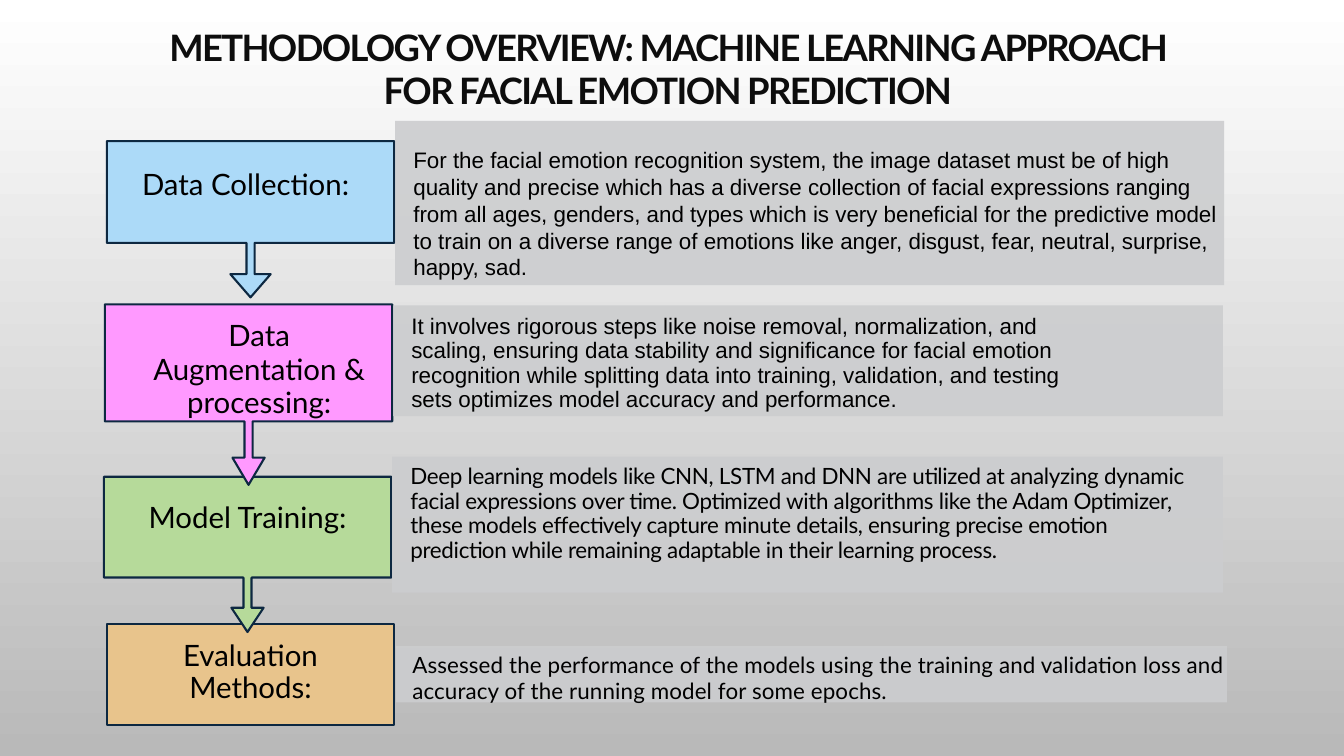
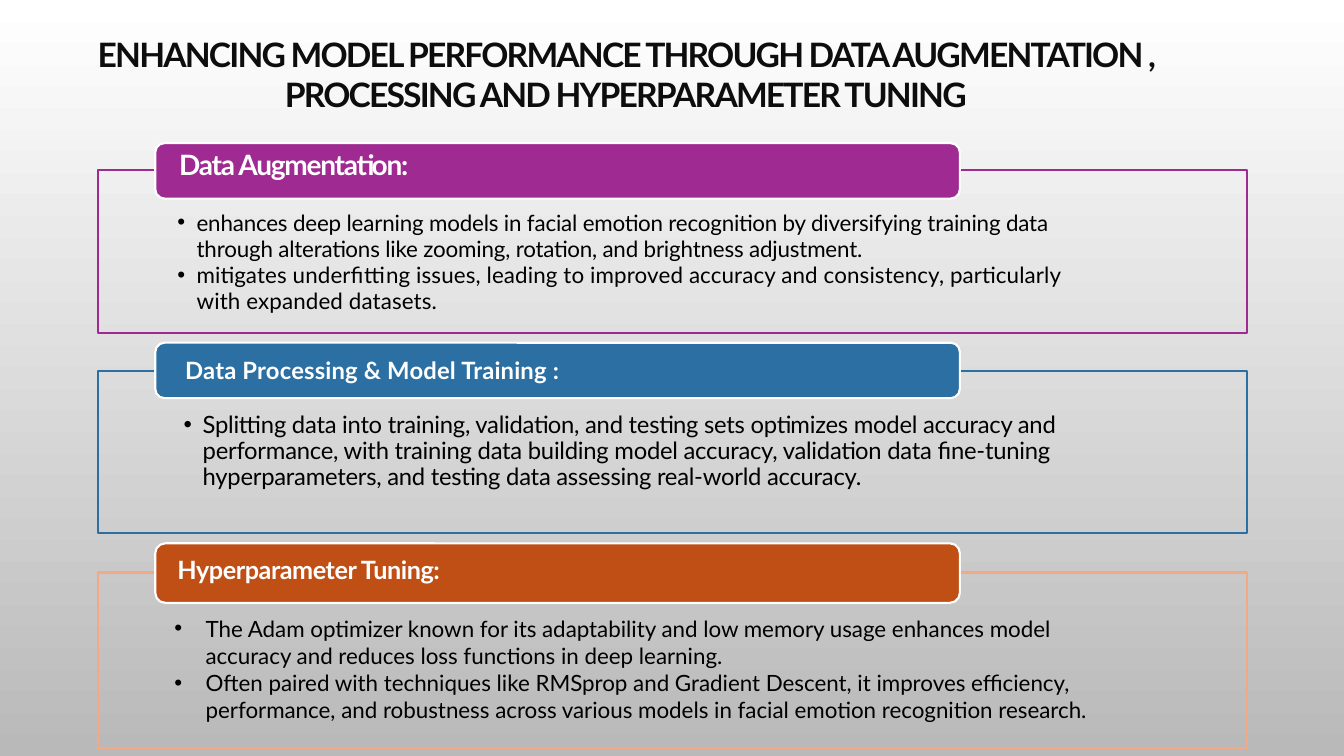
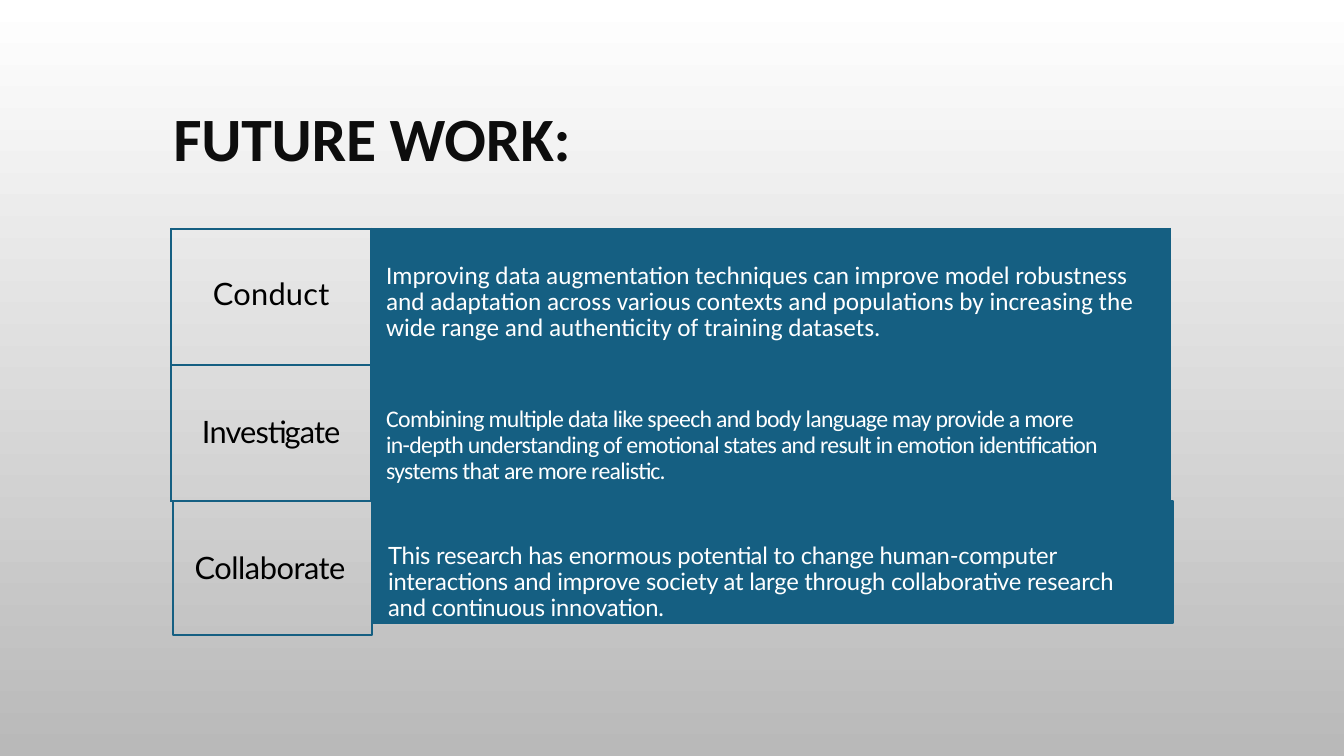
from dataclasses import dataclass
from lxml.etree import SubElement
from pptx import Presentation
from pptx.dml.color import RGBColor
from pptx.enum.shapes import MSO_SHAPE
from pptx.enum.text import MSO_ANCHOR, MSO_AUTO_SIZE, PP_ALIGN
from pptx.oxml import parse_xml
from pptx.oxml.ns import nsdecls, qn
from pptx.util import Inches, Pt


@dataclass(frozen=True)
class Theme:
    top: str = "FFFFFF"
    base: str = "B9B9B9"
    head: str = "0D0D0D"
    ink: str = "000000"
    white: str = "FFFFFF"
    edge: str = "0D2841"
    panel: str = "CCCDCF"
    teal: str = "155F82"
    main: str = "Lato"
    plain: str = "Arial"
    alt: str = "Calibri"
    step: float = 21
    term: float = 22
    text: float = 16
    large: float = 17
    line: float = 1.5


T = Theme()
LEFT, CENTER = PP_ALIGN.LEFT, PP_ALIGN.CENTER

FLOW_TITLE = dict(
    text="METHODOLOGY OVERVIEW: MACHINE LEARNING APPROACH FOR FACIAL EMOTION PREDICTION",
    at=(1.5, 0.23, 10.25, 0.89), size=26, track=-1.2)
TUNE_TITLE = dict(
    text="ENHANCING MODEL PERFORMANCE THROUGH DATA AUGMENTATION , PROCESSING AND HYPERPARAMETER TUNING",
    at=(0.51, 0.32, 11.39, 0.82), size=24, track=-1.3)
WORK_TITLE = dict(
    text="FUTURE WORK:", at=(1.48, 0.97, 4.42, 0.76),
    size=44, track=-0.2, font=T.alt)

STEPS = [
    dict(name=["Data Collection:"], color="ACDAF8", at=(1.06, 1.4, 2.85, 1.55),
         body=1.01, tip=0.23, half=0.2, inset=(0, 0.25, 0.1), lead=None,
         panel=(3.92, 1.2, 8.22, 1.63), pad=(0.18, 0.25, 0),
         look=dict(font=T.plain),
         text="For the facial emotion recognition system, the image dataset must be of high quality and precise which has a diverse collection of facial expressions ranging from all ages, genders, and types which is very beneficial for the predictive model to train on a diverse range of emotions like anger, disgust, fear, neutral, surprise, happy, sad."),
    dict(name=["Data", "Augmentation & processing:"], color="FF99FF",
         at=(1.04, 3.02, 2.85, 1.79),
         body=1.16, tip=0.27, half=0.16, inset=(0.35, 0.14, 0.14), lead=24.1,
         panel=(3.9, 3.03, 8.23, 1.1), pad=(0.18, 0.09, 1.4),
         look=dict(font=T.plain, lead=17.5),
         text="It involves rigorous steps like noise removal, normalization, and scaling, ensuring data stability and significance for facial emotion recognition while splitting data into training, validation, and testing sets optimizes model accuracy and performance."),
    dict(name=["Model Training:"], color="B6DA9A", at=(1.03, 4.73, 2.85, 1.54),
         body=1, tip=0.24, half=0.16, inset=(0, 0.22, 0), lead=None,
         panel=(3.89, 4.53, 8.24, 1.35), pad=(0.18, 0.08, 0.33),
         look=dict(lead=17.5, track=-0.2),
         text="Deep learning models like CNN, LSTM and DNN are utilized at analyzing dynamic facial expressions over time. Optimized with algorithms like the Adam Optimizer, these models effectively capture minute details, ensuring precise emotion prediction while remaining adaptable in their learning process."),
    dict(name=["Evaluation Methods:"], color="E8C48C", at=(1.06, 6.19, 2.85, 1),
         body=None, inset=(0.4, 0.16, 0.4), lead=23,
         panel=(3.93, 6.41, 8.24, 0.56), pad=(0.16, 0.06, 0),
         look=dict(lead=18.4, track=0.1),
         text="Assessed the performance of the models using the training and validation loss and accuracy of the running model for some epochs."),
]

TOPICS = [
    dict(name="Data Augmentation:", fill="9F2B92", line="9F2B92",
         top=1.42, tall=0.55, frame=(1.69, 1.61), label=(0.21, 0.02, 0),
         size=20, track=-0.9, inset=(0.78, 0.39, 1.7), hang=(0.2, 0.19),
         look=dict(lead=18.6),
         items=["enhances deep learning models in facial emotion recognition by diversifying training data through alterations like zooming, rotation, and brightness adjustment.",
                "mitigates underfitting issues, leading to improved accuracy and consistency, particularly with expanded datasets."],
         tracks=[-0.1, 0.1]),
    dict(name="Data Processing & Model Training :", fill="2C70A3", line="2C70A3",
         top=3.4, tall=0.55, frame=(3.68, 1.61), label=(0.27, 0.1, 0),
         size=17, track=0.1, inset=(0.84, 0.41, 0.97), hang=(0.2, 0.19),
         look=dict(lead=18.6, size=T.large),
         items=["Splitting data into training, validation, and testing sets optimizes model accuracy and performance, with training data building model accuracy, validation data fine-tuning hyperparameters, and testing data assessing real-world accuracy."],
         tracks=[-0.2]),
    dict(name="Hyperparameter Tuning:", fill="C04F15", line="F1AA84",
         top=5.39, tall=0.59, frame=(5.68, 1.74), label=(0.19, 0.08, 0),
         size=18, track=-0.3, inset=(0.76, 0.42, 1.34), hang=(0.31, 0.31),
         look=dict(gap=0.5),
         items=["The Adam optimizer known for its adaptability and low memory usage enhances model accuracy and reduces loss functions in deep learning.",
                "Often paired with techniques like RMSprop and Gradient Descent, it improves efficiency, performance, and robustness across various models in facial emotion recognition research."],
         tracks=[0, 0]),
]

PLANS = [
    dict(name="Conduct", track=0.2, pad=(0, 0.46, 0),
         text="Improving data augmentation techniques can improve model robustness and adaptation across various contexts and populations by increasing the wide range and authenticity of training datasets.",
         look=dict(size=18, font=T.alt), inset=(0.15, 0.36, 0.2)),
    dict(name="Investigate", track=-0.6, pad=(0, 0.48, 0),
         text="Combining multiple data like speech and body language may provide a more in-depth understanding of emotional states and result in emotion identification systems that are more realistic.",
         look=dict(size=T.large, font=T.alt, track=-0.5), inset=(0.15, 0.43, 0.7)),
]
LAST = dict(name="Collaborate", track=-0.3, pad=(0.21, 0.47, 0),
            text="This research has enormous potential to change human-computer interactions and improve society at large through collaborative research and continuous innovation.",
            look=dict(size=T.large, track=-0.2), inset=(0.16, 0.42, 0.4))


def rgb(code):
    return RGBColor.from_string(code)


def place(shape, at):
    shape.left, shape.top, shape.width, shape.height = map(Inches, at)


def pad(box, inset, anchor=MSO_ANCHOR.TOP):
    left, top, right = map(Inches, inset)
    box.margin_left, box.margin_top = left, top
    box.margin_right, box.margin_bottom = right, 0
    box.vertical_anchor = anchor


def style(para, text, size=T.text, font=T.main, color=T.ink, bold=False,
          track=0, lead=None, gap=0, align=LEFT, hang=None):
    para.text = text
    para.alignment = align
    para.space_before = Pt(gap)
    if lead:
        para.line_spacing = Pt(lead)
    if hang:
        left, back = hang
        props = para._p.get_or_add_pPr()
        props.set("marL", str(Inches(left)))
        props.set("indent", str(-Inches(back)))
        SubElement(props, qn("a:buFont"), typeface=T.plain)
        SubElement(props, qn("a:buChar"), char="•")
    face = para.font
    face.name, face.size, face.bold = font, Pt(size), bold
    face.color.rgb = rgb(color)
    face._element.set("spc", str(round(track * 100)))


def write(frame, texts, tracks=None, **look):
    for i, text in enumerate(texts):
        para = frame.add_paragraph() if i else frame.paragraphs[0]
        if tracks:
            look["track"] = tracks[i]
        style(para, text, **look)


def fit(shape, inset, anchor=MSO_ANCHOR.TOP):
    frame = shape.text_frame
    frame.word_wrap = True
    frame.auto_size = MSO_AUTO_SIZE.NONE
    pad(frame, inset, anchor)
    return frame


def block(slide, kind, at, fill=None, line=None):
    shape = slide.shapes.add_shape(kind, *map(Inches, at))
    shape.shadow.inherit = False
    if fill:
        shape.fill.solid()
        shape.fill.fore_color.rgb = rgb(fill)
    else:
        shape.fill.background()
    if line:
        shape.line.color.rgb = rgb(line)
        shape.line.width = Pt(T.line)
    else:
        shape.line.fill.background()
    return shape


def start(deck, layout, text, at, **look):
    slide = deck.slides.add_slide(deck.slide_layouts[layout])
    title = slide.shapes.title
    place(title, at)
    frame = fit(title, (0, 0.01, 0), MSO_ANCHOR.MIDDLE)
    write(frame, [text], color=T.head, bold=True, align=CENTER, **look)
    return slide


def flow(deck):
    slide = start(deck, 5, **FLOW_TITLE)
    for step in reversed(STEPS):
        kind = MSO_SHAPE.DOWN_ARROW_CALLOUT if step["body"] else MSO_SHAPE.RECTANGLE
        box = block(slide, kind, step["at"], step["color"], T.edge)
        if step["body"]:
            tall = step["at"][3]
            sizes = 0.08, step["half"], step["tip"], step["body"]
            for i, size in enumerate(sizes):
                box.adjustments[i] = size / tall
        write(fit(box, step["inset"]), step["name"], size=T.step,
              lead=step["lead"], align=CENTER)
        panel = block(slide, MSO_SHAPE.RECTANGLE, step["panel"], T.panel)
        tint = panel.element.spPr.find(qn("a:solidFill"))[0]
        SubElement(tint, qn("a:alpha"), val="90000")
        write(fit(panel, step["pad"]), [step["text"]], **step["look"])


def tune(deck):
    slide = start(deck, 4, **TUNE_TITLE)
    *bodies, spare = [p for p in slide.placeholders if p.placeholder_format.idx]
    spare.element.getparent().remove(spare.element)
    for topic, body in zip(TOPICS, bodies):
        top, tall = topic["frame"]
        place(body, (0.97, top, 11.4, tall))
        body.line.color.rgb = rgb(topic["line"])
        body.line.width = Pt(T.line)
        write(fit(body, topic["inset"]), topic["items"], topic["tracks"],
              hang=topic["hang"], **topic["look"])
        label = block(slide, MSO_SHAPE.ROUNDED_RECTANGLE,
                      (1.54, topic["top"], 7.98, topic["tall"]),
                      topic["fill"], T.white)
        write(fit(label, topic["label"]), [topic["name"]], size=topic["size"],
              color=T.white, bold=True, track=topic["track"])


def border(cell):
    props = cell._tc.get_or_add_tcPr()
    for i, side in enumerate("LRTB"):
        props.insert(i, parse_xml(
            f'<a:ln{side} {nsdecls("a")} w="{Pt(T.line)}"><a:solidFill>'
            f'<a:srgbClr val="{T.teal}"/></a:solidFill></a:ln{side}>'))


def work(deck):
    slide = start(deck, 5, **WORK_TITLE)
    left, top, wide, tall = 1.7, 2.27, (1.98, 7.93), 1.35
    grid = slide.shapes.add_table(
        len(PLANS), 2, Inches(left), Inches(top),
        Inches(sum(wide)), Inches(tall * len(PLANS))).table
    grid.first_row = grid.horz_banding = False
    for col, size in zip(grid.columns, wide):
        col.width = Inches(size)
    for row, plan in zip(grid.rows, PLANS):
        row.height = Inches(tall)
        term, note = row.cells
        term.fill.background()
        note.fill.solid()
        note.fill.fore_color.rgb = rgb(T.teal)
        for cell, inset in (term, plan["pad"]), (note, plan["inset"]):
            border(cell)
            pad(cell, inset)
        write(term.text_frame, [plan["name"]], size=T.term,
              track=plan["track"], align=CENTER)
        write(note.text_frame, [plan["text"]], color=T.white, lead=18.6,
              **plan["look"])
    end = top + tall * len(PLANS)
    note = block(slide, MSO_SHAPE.RECTANGLE, (3.69, end, 7.94, 1.21), T.teal, T.teal)
    write(fit(note, LAST["inset"]), [LAST["text"]], color=T.white, lead=18.6,
          **LAST["look"])
    term = block(slide, MSO_SHAPE.RECTANGLE, (1.72, end, 1.97, 1.33), line=T.teal)
    write(fit(term, LAST["pad"]), [LAST["name"]], size=T.term, track=LAST["track"])


def main():
    deck = Presentation()
    deck.slide_width, deck.slide_height = Inches(13.33), Inches(7.5)
    fill = deck.slide_master.background.fill
    fill.gradient()
    fill.gradient_angle = 270
    for stop, color in zip(fill.gradient_stops, (T.top, T.base)):
        stop.color.rgb = rgb(color)
    for build in (flow, tune, work):
        build(deck)
    deck.save("out.pptx")


if __name__ == "__main__":
    main()
